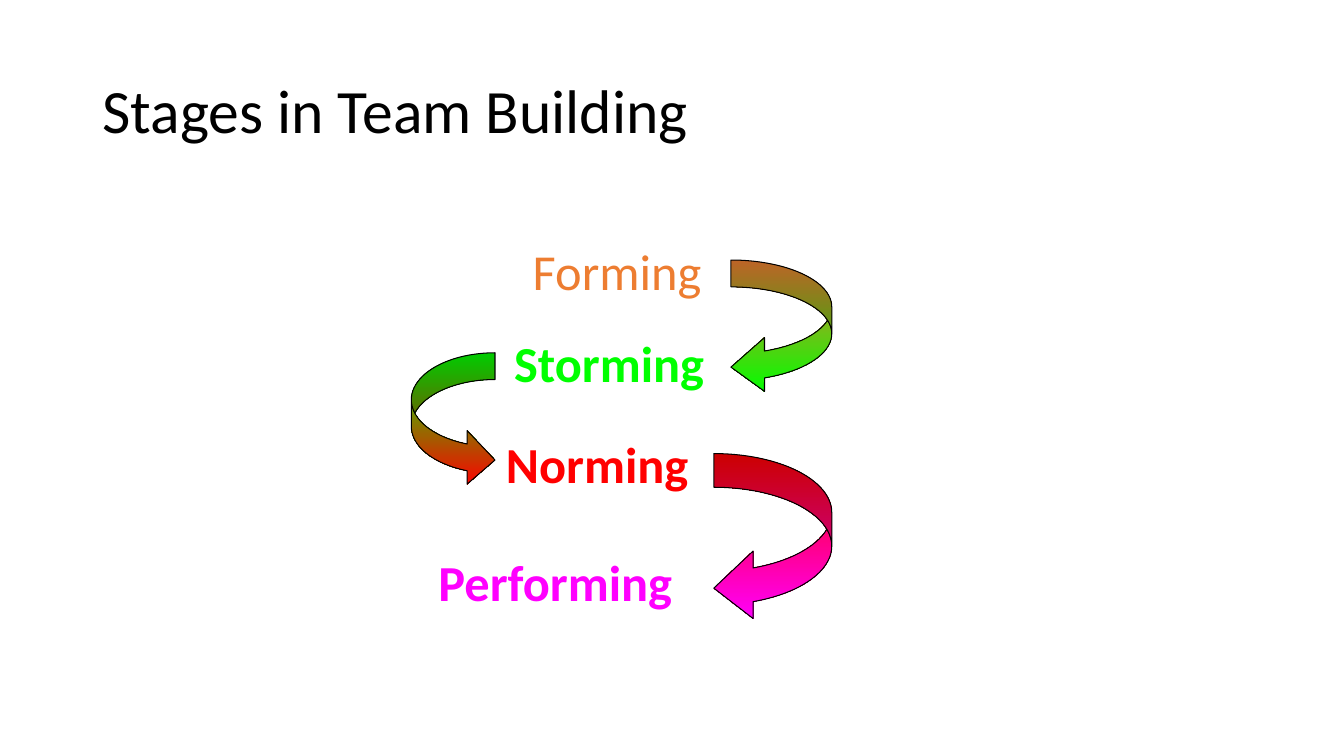
from pptx import Presentation
from pptx.dml.color import RGBColor
from pptx.enum.shapes import MSO_SHAPE
from pptx.enum.text import MSO_ANCHOR, PP_ALIGN
from pptx.util import Inches, Pt

THEME = {
    "font": "Calibri",
    "title_size": 44,
    "stage_size": 36,
    "ink": "000000",
    "forming": "ED7D31",
    "storming": "00FF00",
    "norming": "FF0000",
    "performing": "FF00FF",
}

TITLE = ("Stages in Team Building", (0.92, 0.4, 11.5, 1.45))
STAGE_HEIGHT = 0.7
STAGES = [
    ("Forming", (5.08, 2.33, 2.08), False, PP_ALIGN.CENTER),
    ("Storming", (5, 3.25, 2.33), True, PP_ALIGN.LEFT),
    ("Norming", (4.92, 4.25, 2.25), True, PP_ALIGN.LEFT),
    ("Performing", (4.25, 5.42, 2.75), True, PP_ALIGN.LEFT),
]
HEAD = 0.333
ARROWS = [
    (MSO_SHAPE.CURVED_LEFT_ARROW, (7.25, 2.58, 1, 1.33), 0.267),
    (MSO_SHAPE.CURVED_RIGHT_ARROW, (4.08, 3.5, 0.83, 1.33), 0.32),
    (MSO_SHAPE.CURVED_LEFT_ARROW, (7.08, 4.5, 1.17, 1.67), 0.286),
]


def color(name):
    return RGBColor.from_string(THEME[name])


def add_text(slide, text, box, size, fill, bold=False, align=PP_ALIGN.LEFT,
             anchor=MSO_ANCHOR.TOP, spacing=1.0):
    sp = slide.shapes.add_textbox(*map(Inches, box))
    tf = sp.text_frame
    tf.word_wrap = True
    tf.vertical_anchor = anchor
    p = tf.paragraphs[0]
    p.alignment = align
    p.line_spacing = spacing
    r = p.add_run()
    r.text = text
    r.font.name = THEME["font"]
    r.font.size = Pt(THEME[size])
    r.font.bold = bold
    r.font.color.rgb = color(fill)


def add_arrow(slide, kind, box, shaft, start, end):
    sp = slide.shapes.add_shape(kind, *map(Inches, box))
    sp.shadow.inherit = False
    for i, value in enumerate((shaft, 2 * shaft, HEAD)):
        sp.adjustments[i] = value
    sp.fill.gradient()
    sp.fill.gradient_angle = 270
    for stop, position, name in zip(sp.fill.gradient_stops, (0, 1), (start, end)):
        stop.position = position
        stop.color.rgb = color(name)
    sp.line.color.rgb = color("ink")
    sp.line.width = Pt(0.75)


def main():
    prs = Presentation()
    prs.slide_width, prs.slide_height = Inches(13.33), Inches(7.5)
    slide = prs.slides.add_slide(prs.slide_layouts[6])
    add_text(slide, *TITLE, "title_size", "ink",
             anchor=MSO_ANCHOR.MIDDLE, spacing=0.9)
    for name, box, bold, align in STAGES:
        add_text(slide, name, (*box, STAGE_HEIGHT), "stage_size", name.lower(),
                 bold=bold, align=align)
    names = [stage[0].lower() for stage in STAGES]
    for arrow, start, end in zip(ARROWS, names, names[1:]):
        add_arrow(slide, *arrow, start, end)
    prs.save("out.pptx")


if __name__ == "__main__":
    main()
